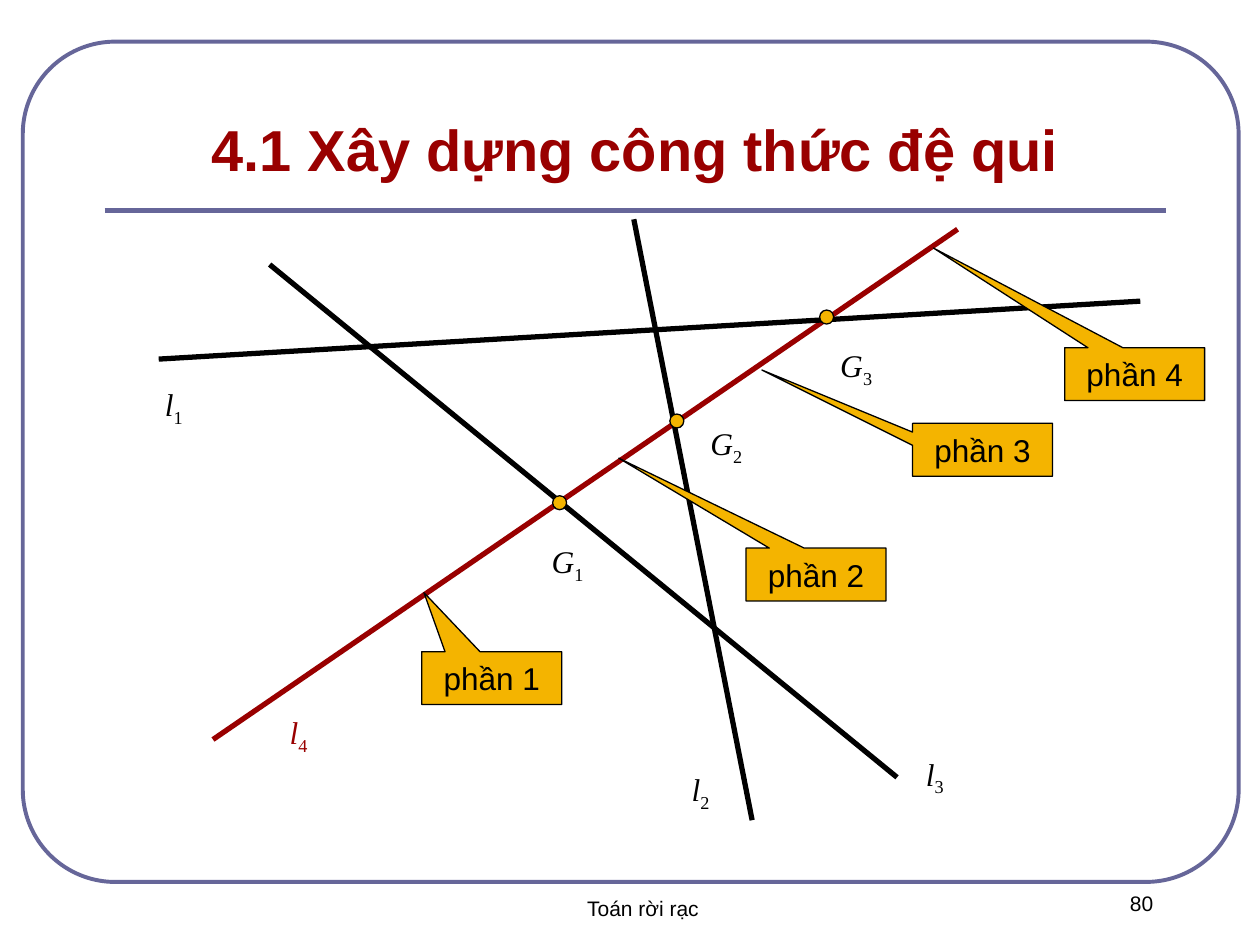
from lxml.etree import SubElement
from pptx import Presentation
from pptx.dml.color import RGBColor
from pptx.enum.shapes import MSO_CONNECTOR, MSO_SHAPE
from pptx.enum.text import MSO_ANCHOR, PP_ALIGN
from pptx.oxml.ns import qn
from pptx.util import Pt

BLACK = RGBColor(0x00, 0x00, 0x00)
RED = RGBColor(0x99, 0x00, 0x00)
GOLD = RGBColor(0xF4, 0xB4, 0x00)
SLATE = RGBColor(0x66, 0x66, 0x99)

BOX_W, BOX_H = 80, 30.2
DOT = 8

LINES = [
    (121.7, 422.6, 547.2, 131, RED),
    (154.1, 151.2, 512.6, 444.2, BLACK),
    (362.2, 125.3, 429.8, 468.7, BLACK),
    (90.7, 205.2, 651.6, 172.1, BLACK),
]
DOTS = [(319.8, 287.3), (386.8, 240.6), (472.4, 181.2)]
LABELS = [
    ("l", "1", 85, 216.7, BLACK),
    ("l", "2", 385.9, 436.3, BLACK),
    ("l", "3", 519.8, 427.7, BLACK),
    ("l", "4", 156.2, 403.9, RED),
    ("G", "1", 306, 306, BLACK),
    ("G", "2", 396.7, 239, BLACK),
    ("G", "3", 470.9, 194.4, BLACK),
]
CALLOUTS = [
    ("phần 1", 241, 372.4, 242.3, 338.6),
    ("phần 2", 426.3, 313.2, 353.6, 261.8),
    ("phần 3", 521.5, 241.9, 435.4, 211.4),
    ("phần 4", 608.4, 198.7, 533.4, 141.7),
]


def style(par, size, color, name="Arial", bold=False):
    par.alignment = PP_ALIGN.CENTER
    font = par.font
    font.name, font.size, font.bold = name, Pt(size), bold
    font.color.rgb = color


def add_text(slide, text, x, y, w, h, size, color=BLACK, bold=False,
             anchor=MSO_ANCHOR.TOP):
    frame = slide.shapes.add_textbox(Pt(x), Pt(y), Pt(w), Pt(h)).text_frame
    frame.word_wrap = True
    frame.vertical_anchor = anchor
    frame.text = text
    style(frame.paragraphs[0], size, color, bold=bold)


def add_label(slide, base, sub, x, y, color):
    width = 28.8 if base == "l" else 36.7
    box = slide.shapes.add_textbox(Pt(x), Pt(y), Pt(width), Pt(31.7))
    box.text_frame.word_wrap = False
    par = box.text_frame.paragraphs[0]
    style(par, 18, color, "Times New Roman")
    main_run = par.add_run()
    main_run.text = base
    main_run.font.italic = True
    low = par.add_run()
    low.text = sub
    low.font._element.set("baseline", "-25000")


def add_line(slide, x1, y1, x2, y2, color):
    line = slide.shapes.add_connector(
        MSO_CONNECTOR.STRAIGHT, Pt(x1), Pt(y1), Pt(x2), Pt(y2))
    line.line.color.rgb = color
    line.line.width = Pt(3)
    SubElement(line._element.spPr, qn("a:effectLst"))


def add_shape(slide, kind, x, y, w, h, fill=GOLD, edge=BLACK, width=0.75):
    shape = slide.shapes.add_shape(kind, Pt(x), Pt(y), Pt(w), Pt(h))
    shape.shadow.inherit = False
    if fill is None:
        shape.fill.background()
    else:
        shape.fill.solid()
        shape.fill.fore_color.rgb = fill
    shape.line.color.rgb = edge
    shape.line.width = Pt(width)
    return shape


def add_callout(slide, text, x, y, tip_x, tip_y):
    shape = add_shape(slide, MSO_SHAPE.RECTANGULAR_CALLOUT, x, y, BOX_W, BOX_H)
    shape.adjustments[0] = (tip_x - x) / BOX_W - 0.5
    shape.adjustments[1] = (tip_y - y) / BOX_H - 0.5
    frame = shape.text_frame
    frame.vertical_anchor = MSO_ANCHOR.MIDDLE
    frame.text = text
    style(frame.paragraphs[0], 18, BLACK)


def main():
    deck = Presentation()
    deck.slide_width, deck.slide_height = Pt(720), Pt(540)
    slide = deck.slides.add_slide(deck.slide_layouts[6])
    border = add_shape(slide, MSO_SHAPE.ROUNDED_RECTANGLE,
                       13, 23.8, 694.8, 480.2, None, SLATE, 2.25)
    border.adjustments[0] = 0.11
    add_line(slide, 59.8, 120.2, 666, 120.2, SLATE)
    add_text(slide, "80", 607, 505.4, 90.7, 36, 12)
    add_text(slide, "Toán rời rạc", 188.6, 508.3, 357.8, 36, 12)
    add_text(slide, "4.1 Xây dựng công thức đệ qui", 59.8, 30.2, 606.2, 77.8,
             33, RED, True, MSO_ANCHOR.BOTTOM)
    for line in LINES:
        add_line(slide, *line)
    for x, y in DOTS:
        add_shape(slide, MSO_SHAPE.OVAL, x - DOT / 2, y - DOT / 2, DOT, DOT)
    for label in LABELS:
        add_label(slide, *label)
    for callout in CALLOUTS:
        add_callout(slide, *callout)
    deck.save("out.pptx")


if __name__ == "__main__":
    main()
